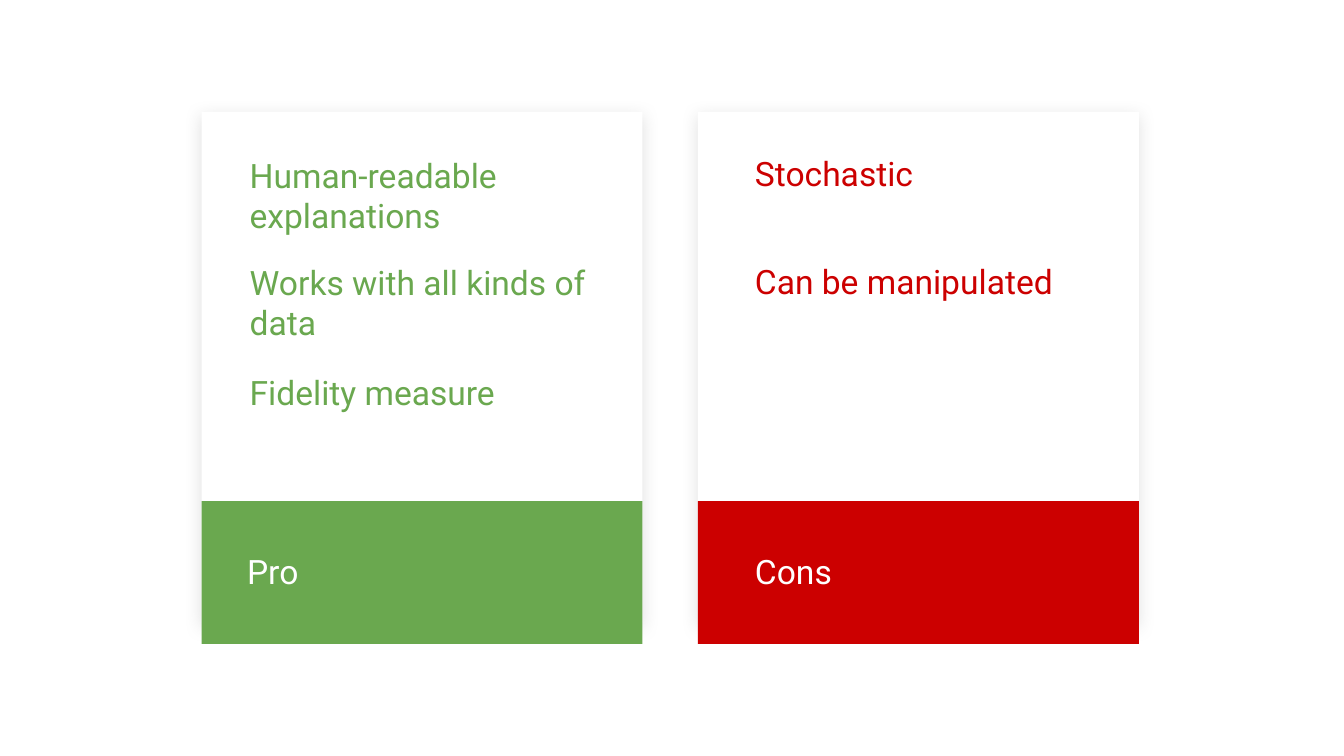
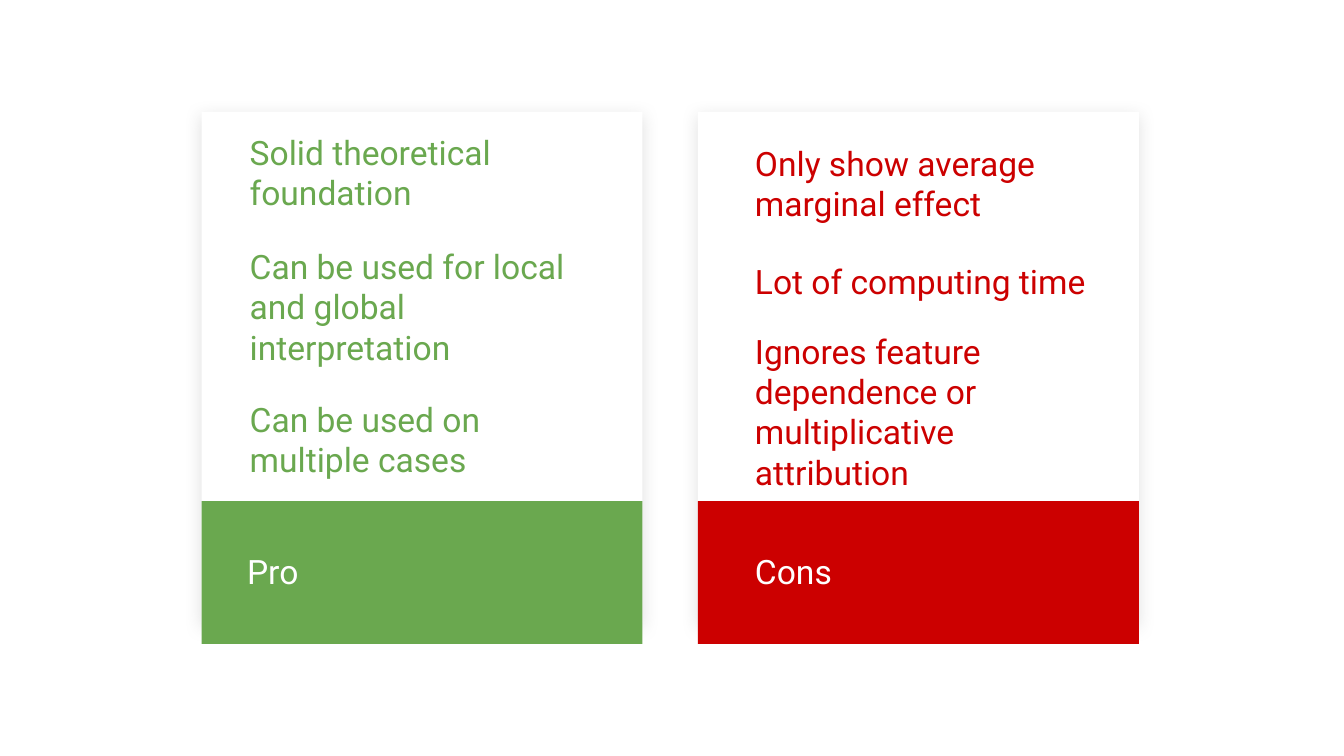
import pptx
import pptx.dml.color
import pptx.enum.shapes
import pptx.enum.text
import pptx.oxml
import pptx.oxml.ns
import pptx.util

Pt = pptx.util.Pt
Anchor = pptx.enum.text.MSO_ANCHOR

COLORS = {"white": "FFFFFF", "pro": "6AA84F", "cons": "CC0000", "shadow": "999999"}
CARD_TOP, CARD_WIDTH, CARD_HEIGHT = 60, 236.2, 273.6
BAND_TOP, BAND_HEIGHT = 268.5, 76.5
LABEL_TOP, LABEL_HEIGHT = 289.4, 34.6
TEXT_WIDTH = 199.4

SIDES = {
    "pro": {"label": "Pro", "card_left": 108, "label_left": 125.3, "text_left": 126.7},
    "cons": {"label": "Cons", "card_left": 373.9, "label_left": 397.4, "text_left": 397.4},
}

SLIDES = [
    {
        "pro": [
            ("Human-readable explanations", 75.6, 51.1),
            ("Works with all kinds of data", 133.2, 56.2),
            ("Fidelity measure", 192.2, 56.2),
        ],
        "cons": [
            ("Stochastic", 74.9, 51.1),
            ("Can be manipulated", 132.5, 51.1),
        ],
    },
    {
        "pro": [
            ("Solid theoretical foundation", 63.4, 73.4),
            ("Can be used for local and global interpretation", 124.6, 73.4),
            ("Can be used on multiple cases", 206.6, 51.1),
        ],
        "cons": [
            ("Only show average marginal effect", 69.1, 51.1),
            ("Lot of computing time", 132.5, 51.1),
            ("Ignores feature dependence or multiplicative attribution", 169.9, 87.8),
        ],
    },
]


class Deck:
    """Holds the shared style and the slide being built."""

    font = {"name": "Roboto", "size": Pt(18)}
    frame = {"word_wrap": True} | {
        f"margin_{side}": Pt(7.2) for side in ("left", "top", "right", "bottom")
    }

    def __init__(self):
        self.presentation = pptx.Presentation()
        self.presentation.slide_width = Pt(720)
        self.presentation.slide_height = Pt(405)
        self.slide = None

    def color(self, name):
        return pptx.dml.color.RGBColor.from_string(COLORS[name])

    def add_slide(self):
        self.slide = self.presentation.slides.add_slide(self.presentation.slide_layouts[6])

    def rectangle(self, left, top, height, color):
        shape = self.slide.shapes.add_shape(
            pptx.enum.shapes.MSO_SHAPE.RECTANGLE, Pt(left), Pt(top), Pt(CARD_WIDTH), Pt(height)
        )
        shape.shadow.inherit = False
        shape.fill.solid()
        shape.fill.fore_color.rgb = self.color(color)
        shape.line.fill.background()
        return shape

    def card(self, left):
        shape = self.rectangle(left, CARD_TOP, CARD_HEIGHT, "white")
        effects = shape._element.spPr.find(pptx.oxml.ns.qn("a:effectLst"))
        effects.append(pptx.oxml.parse_xml(
            f'<a:outerShdw {pptx.oxml.ns.nsdecls("a")} blurRad="{Pt(9)}" dist="{Pt(2.2)}"'
            f' dir="5400000" algn="bl" rotWithShape="0"><a:srgbClr val="{COLORS["shadow"]}">'
            '<a:alpha val="30000"/></a:srgbClr></a:outerShdw>'
        ))

    def text(self, words, left, top, height, color, anchor=Anchor.TOP):
        shape = self.slide.shapes.add_textbox(Pt(left), Pt(top), Pt(TEXT_WIDTH), Pt(height))
        frame = shape.text_frame
        for key, value in (self.frame | {"vertical_anchor": anchor}).items():
            setattr(frame, key, value)
        run = frame.paragraphs[0].add_run()
        run.text = words
        for key, value in self.font.items():
            setattr(run.font, key, value)
        run.font.color.rgb = self.color(color)

    def band(self, name, side):
        self.rectangle(side["card_left"], BAND_TOP, BAND_HEIGHT, name)
        self.text(side["label"], side["label_left"], LABEL_TOP, LABEL_HEIGHT, "white", Anchor.BOTTOM)


def main():
    deck = Deck()
    for points in SLIDES:
        deck.add_slide()
        for side in SIDES.values():
            deck.card(side["card_left"])
        for name, side in SIDES.items():
            deck.band(name, side)
            for words, top, height in points[name]:
                deck.text(words, side["text_left"], top, height, name)
    deck.presentation.save("out.pptx")


if __name__ == "__main__":
    main()
